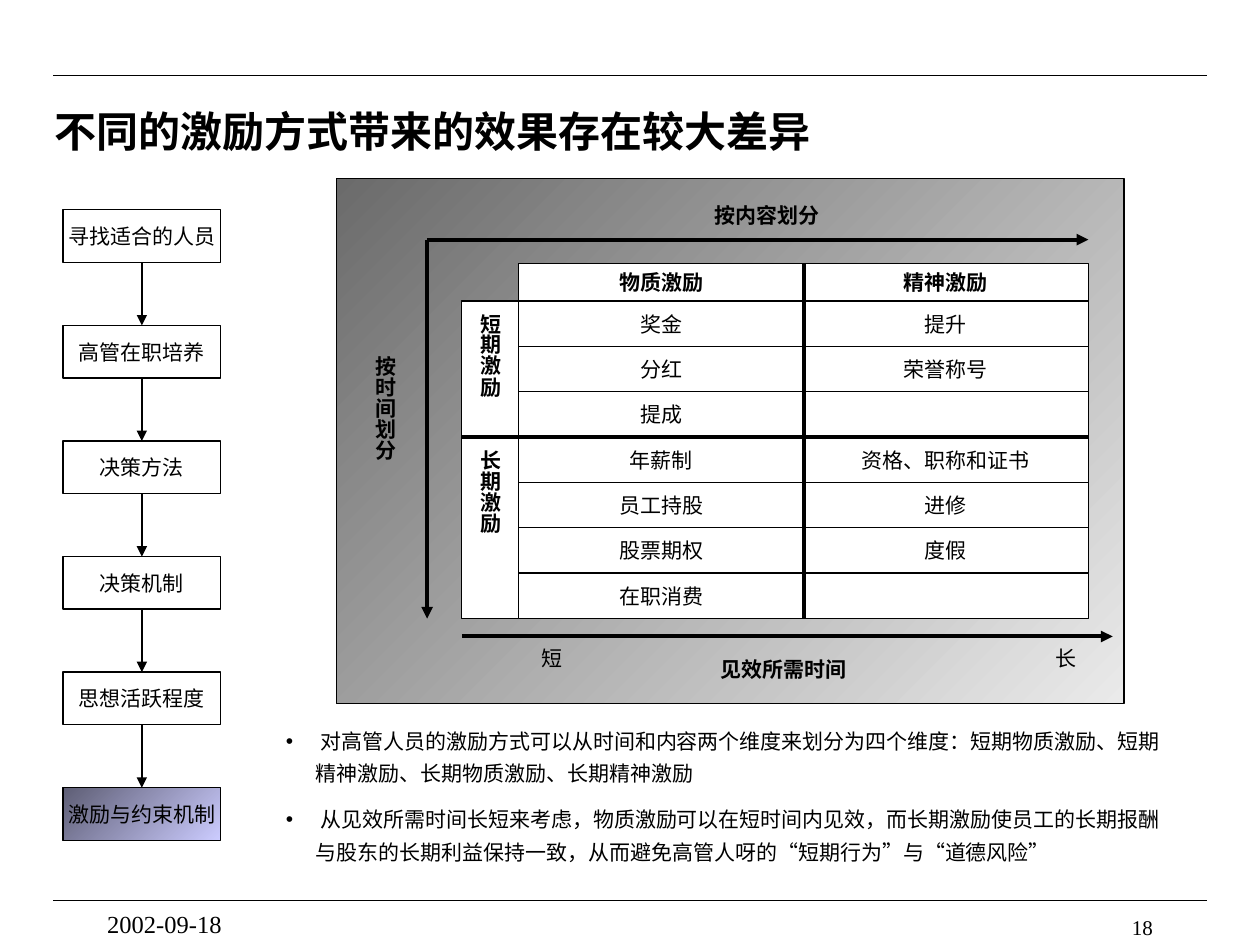
from itertools import pairwise

from lxml.etree import SubElement
from pptx import Presentation
from pptx.dml.color import RGBColor
from pptx.enum.shapes import MSO_CONNECTOR, MSO_SHAPE
from pptx.enum.text import MSO_ANCHOR, MSO_AUTO_SIZE, PP_ALIGN
from pptx.oxml.ns import qn
from pptx.util import Cm, Pt

BLACK = RGBColor(0x00, 0x00, 0x00)
WHITE = RGBColor(0xFF, 0xFF, 0xFF)
PANEL_SHADES = RGBColor(0xEA, 0xEA, 0xEA), RGBColor(0x6B, 0x6B, 0x6B)
CURRENT_SHADES = RGBColor(0xCC, 0xCC, 0xFF), RGBColor(0x5E, 0x5E, 0x75)
LATIN, CHINESE = "Times New Roman", "Noto Sans CJK SC"
THIN, THICK = 0.75, 2.25

STEPS = ["寻找适合的人员", "高管在职培养", "决策方法",
         "决策机制", "思想活跃程度", "激励与约束机制"]
INCENTIVES = {
    "物质激励": ["奖金", "分红", "提成", "年薪制", "员工持股", "股票期权", "在职消费"],
    "精神激励": ["提升", "荣誉称号", "", "资格、职称和证书", "进修", "度假", ""],
}
TERMS = [("短期激励", 3), ("长期激励", 4)]
REMARKS = [
    " 对高管人员的激励方式可以从时间和内容两个维度来划分为四个维度：短期物质激励、"
    "短期精神激励、长期物质激励、长期精神激励",
    " 从见效所需时间长短来考虑，物质激励可以在短时间内见效，而长期激励使员工的长期报酬"
    "与股东的长期利益保持一致，从而避免高管人呀的“短期行为”与“道德风险”",
]

# Grid measures in cm
LABEL_X, GRID_X, COLUMN_W = 9.31, 10.46, 5.74
HEADER_Y, GRID_Y, GRID_BOTTOM = 5.31, 6.07, 12.47
ROW_H = (GRID_BOTTOM - GRID_Y) / 7
GRID_RIGHT = GRID_X + 2 * COLUMN_W


def apply(target, values):
    for name, value in values.items():
        setattr(target, name, value)


def write(paragraph, text, size=12, bold=False, latin=LATIN, **layout):
    apply(paragraph, layout)
    run = paragraph.add_run()
    run.text = text
    apply(run.font, {"size": Pt(size), "bold": bold, "name": latin})
    run.font.color.rgb = BLACK
    SubElement(run.font._element, qn("a:ea"), typeface=CHINESE)


def set_vertical(shape):
    frame = shape.text_frame
    apply(frame, {"margin_left": Cm(0.13), "margin_right": Cm(0.13),
                  "margin_top": Cm(0.25), "margin_bottom": Cm(0.25)})
    frame._txBody.bodyPr.set("vert", "eaVert")


def add_box(slide, x, y, w, h, text="", fill=None, shades=None, bold=False, vertical=False):
    box = slide.shapes.add_shape(MSO_SHAPE.RECTANGLE, Cm(x), Cm(y), Cm(w), Cm(h))
    box.shadow.inherit = False
    if shades:
        box.fill.gradient()
        box.fill.gradient_angle = 135
        for stop, shade in zip(box.fill.gradient_stops, shades):
            stop.color.rgb = shade
    elif fill is not None:
        box.fill.solid()
        box.fill.fore_color.rgb = fill
    else:
        box.fill.background()
    box.line.color.rgb = BLACK
    box.line.width = Pt(THIN)
    apply(box.text_frame, {"word_wrap": False, "vertical_anchor": MSO_ANCHOR.MIDDLE})
    if vertical:
        set_vertical(box)
    if text:
        write(box.text_frame.paragraphs[0], text, bold=bold, alignment=PP_ALIGN.CENTER)
    return box


def add_label(slide, x, y, w, h, text, wrap=False, vertical=False,
              align=PP_ALIGN.LEFT, **font):
    label = slide.shapes.add_textbox(Cm(x), Cm(y), Cm(w), Cm(h))
    label.text_frame.word_wrap = wrap
    if vertical:
        set_vertical(label)
    write(label.text_frame.paragraphs[0], text, alignment=align, **font)


def add_line(slide, x1, y1, x2, y2, width=THIN, arrow=False):
    line = slide.shapes.add_connector(MSO_CONNECTOR.STRAIGHT, Cm(x1), Cm(y1), Cm(x2), Cm(y2))
    line.line.color.rgb = BLACK
    line.line.width = Pt(width)
    if arrow:
        SubElement(line.line._get_or_add_ln(), qn("a:tailEnd"), type="triangle")
    SubElement(line._element.spPr, qn("a:effectLst"))
    return line


def add_title(slide):
    title = slide.shapes.title
    apply(title, {"left": Cm(0.84), "top": Cm(1.78), "width": Cm(21.59), "height": Cm(1.7)})
    apply(title.text_frame, {"vertical_anchor": MSO_ANCHOR.MIDDLE,
                             "auto_size": MSO_AUTO_SIZE.NONE})
    write(title.text_frame.paragraphs[0], "不同的激励方式带来的效果存在较大差异",
          size=24, bold=True, alignment=PP_ALIGN.LEFT)


def add_remarks(slide):
    body = slide.placeholders[1]
    apply(body, {"left": Cm(5.51), "top": Cm(14.4), "width": Cm(18.42), "height": Cm(3.18)})
    frame = body.text_frame
    frame.auto_size = MSO_AUTO_SIZE.NONE
    for index, remark in enumerate(REMARKS):
        paragraph = frame.add_paragraph() if index else frame.paragraphs[0]
        write(paragraph, remark, latin=CHINESE, line_spacing=1.3, space_before=Pt(7.5))
        indent = Cm(0.6)
        properties = paragraph._p.get_or_add_pPr()
        properties.set("marL", str(indent))
        properties.set("indent", str(-indent))


def add_steps(slide):
    boxes = [
        add_box(slide, 1.27, 4.23 + 2.33 * index, 3.18, 1.06, step,
                shades=CURRENT_SHADES if step == STEPS[-1] else None)
        for index, step in enumerate(STEPS)
    ]
    for upper, lower in pairwise(boxes):
        arrow = add_line(slide, 0, 0, 1, 1, arrow=True)
        arrow.begin_connect(upper, 2)
        arrow.end_connect(lower, 0)


def add_grid(slide):
    # Column headings and entries
    for column, (heading, entries) in enumerate(INCENTIVES.items()):
        x = GRID_X + column * COLUMN_W
        add_box(slide, x, HEADER_Y, COLUMN_W, GRID_Y - HEADER_Y, heading, WHITE, bold=True)
        for row, entry in enumerate(entries):
            add_box(slide, x, GRID_Y + row * ROW_H, COLUMN_W, ROW_H, entry, WHITE)
    # Row labels
    y = GRID_Y
    for term, rows in TERMS:
        add_box(slide, LABEL_X, y, GRID_X - LABEL_X, rows * ROW_H, term, WHITE,
                bold=True, vertical=True)
        y += rows * ROW_H
    # Quadrant dividers
    middle_x, middle_y = GRID_X + COLUMN_W, GRID_Y + TERMS[0][1] * ROW_H
    add_line(slide, middle_x, HEADER_Y, middle_x, GRID_BOTTOM, THICK)
    add_line(slide, LABEL_X, middle_y, GRID_RIGHT, middle_y, THICK)


def add_axes(slide):
    axis_x, axis_y, effect_y = 8.61, 4.83, 12.83
    add_line(slide, axis_x, axis_y, axis_x, GRID_BOTTOM, THICK, arrow=True)
    add_line(slide, axis_x, axis_y, GRID_RIGHT, axis_y, THICK, arrow=True)
    add_line(slide, LABEL_X, effect_y, 22.43, effect_y, THICK, arrow=True)
    add_label(slide, 7.14, 6.93, 1.02, 2.39, "按时间划分", bold=True, vertical=True)
    add_label(slide, 14.15, 3.96, 2.62, 0.76, "按内容划分", bold=True)
    add_label(slide, 14.27, 13.11, 3.05, 0.76, "见效所需时间", bold=True)
    add_label(slide, 10.67, 12.88, 0.91, 0.76, "短")
    add_label(slide, 21.03, 12.88, 0.91, 0.76, "长")


def main():
    deck = Presentation()
    deck.slide_width, deck.slide_height = Cm(25.4), Cm(19.05)
    slide = deck.slides.add_slide(deck.slide_layouts[1])

    # Page rules, title and remarks
    for y in (1.52, 18.16):
        add_line(slide, 1.07, y, 24.33, y)
    add_title(slide)
    add_remarks(slide)

    # Matrix of incentives on its panel
    add_box(slide, 6.78, 3.6, 15.88, 10.58, shades=PANEL_SHADES)
    add_grid(slide)
    add_axes(slide)

    # Process on the left
    add_steps(slide)

    # Footer
    add_label(slide, 18.21, 18.31, 5.28, 0.43, "18", wrap=True, align=PP_ALIGN.RIGHT)
    add_label(slide, 1.91, 18.21, 5.28, 0.64, "2002-09-18", wrap=True, size=14)
    deck.save("out.pptx")


if __name__ == "__main__":
    main()
